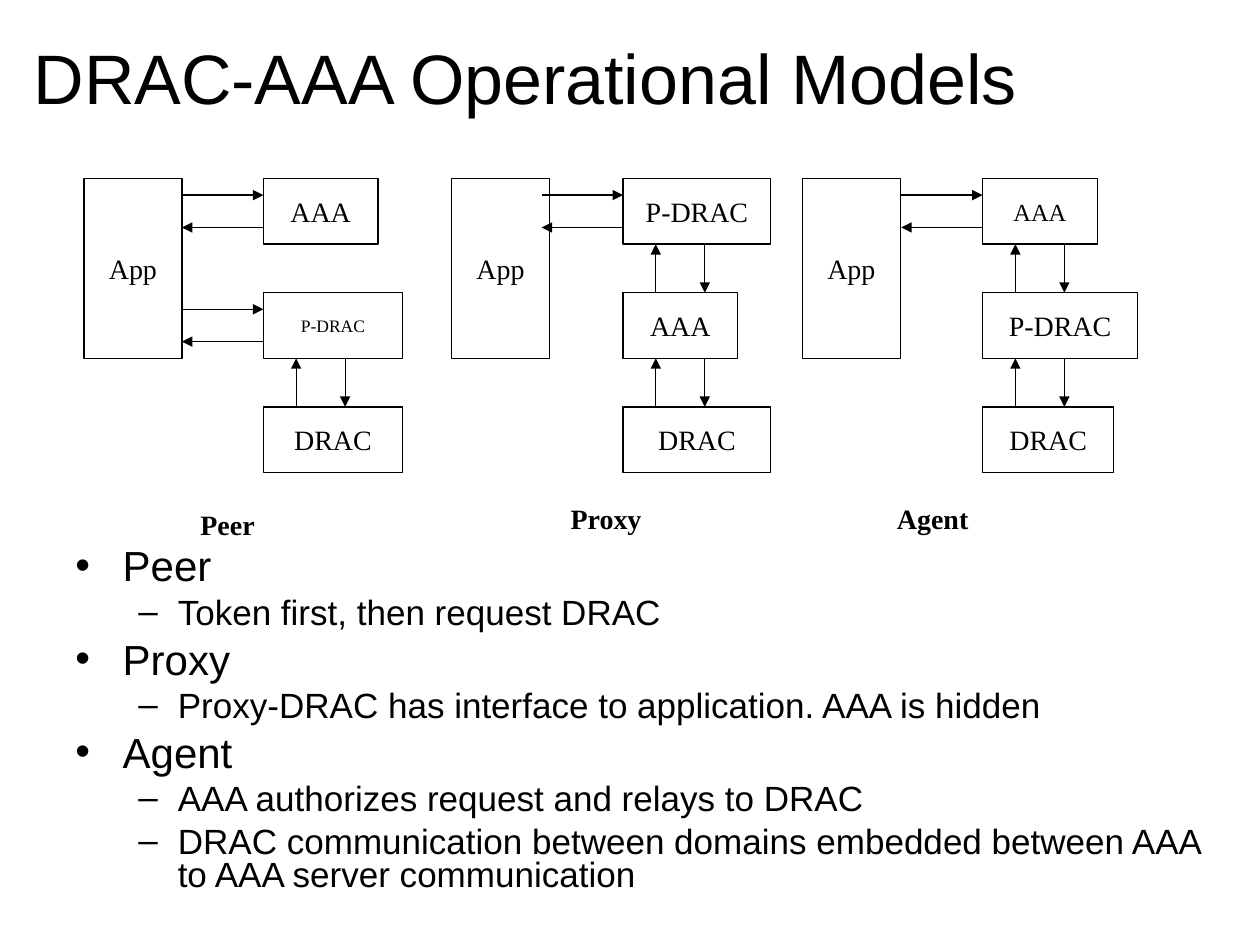
from lxml import etree
from pptx import Presentation
from pptx.dml.color import RGBColor
from pptx.enum import shapes, text
from pptx.oxml.ns import qn
from pptx.util import Pt

COLORS = {"ink": "000000", "paper": "FFFFFF"}
INK = RGBColor.from_string(COLORS["ink"])
SERIF, SANS = "Times New Roman", "Arial"

deck = Presentation()
deck.slide_width, deck.slide_height = Pt(720), Pt(540)
slide = deck.slides.add_slide(deck.slide_layouts[5])
slide.background.fill.solid()
slide.background.fill.fore_color.rgb = RGBColor.from_string(COLORS["paper"])


def write(frame, words, anchor, align, **font):
    """Put one formatted paragraph in a text frame."""
    frame.text = words
    frame.auto_size = text.MSO_AUTO_SIZE.NONE
    frame.vertical_anchor = anchor
    line = frame.paragraphs[0]
    line.alignment = align
    for key, value in font.items():
        setattr(line.runs[0].font, key, value)
    line.runs[0].font.color.rgb = INK


def arrow(x1, y1, x2, y2):
    """Draw a thin line with a triangle at its end."""
    link = slide.shapes.add_connector(
        shapes.MSO_CONNECTOR.STRAIGHT, Pt(x1), Pt(y1), Pt(x2), Pt(y2))
    link.line.color.rgb = INK
    link.line.width = Pt(0.75)
    etree.SubElement(link.line._get_or_add_ln(), qn("a:tailEnd"), type="triangle")
    etree.SubElement(link._element.spPr, qn("a:effectLst"))


# Title
title = slide.shapes.title
title.left, title.top, title.width, title.height = Pt(12), Pt(9.5), Pt(648), Pt(68)
write(title.text_frame, "DRAC-AAA Operational Models", text.MSO_ANCHOR.MIDDLE,
      text.PP_ALIGN.LEFT, name=SANS, size=Pt(40))

# Three models: App on the left, a stack of services on the right
ROW_TOP, ROW_PITCH, BOX_HEIGHT = 102, 65.25, 37.5
APP_WIDTH, ARROW_LENGTH = 56, 46.5
OUT_Y, BACK_Y, UP_X, DOWN_X = 9.5, 28, 18.75, 46.75
models = [
    # caption, caption (left, top, width), app left, stack left,
    # services (name, width, size), rows linked to App, rows linked to the next row
    ("Peer", (107.5, 286.5, 66), 48, 150.5,
     [("AAA", 65.5, 16), ("P-DRAC", 79.5, 10), ("DRAC", 79.5, 16)], [0, 1], [1]),
    ("Proxy", (319, 283, 62), 258, 356,
     [("P-DRAC", 84.5, 16), ("AAA", 65.5, 16), ("DRAC", 84.5, 16)], [0], [0, 1]),
    ("Agent", (505.5, 283, 75), 458.5, 561.5,
     [("AAA", 65.5, 14), ("P-DRAC", 88.5, 16), ("DRAC", 75, 16)], [0], [0, 1]),
]
for caption, (cap_x, cap_y, cap_w), app_x, stack_x, services, app_rows, stack_rows in models:
    boxes = [("App", app_x, ROW_TOP, APP_WIDTH, ROW_PITCH + BOX_HEIGHT, 16)]
    boxes += [(name, stack_x, ROW_TOP + row * ROW_PITCH, width, BOX_HEIGHT, size)
              for row, (name, width, size) in enumerate(services)]
    for name, x, y, width, height, size in boxes:
        box = slide.shapes.add_shape(
            shapes.MSO_SHAPE.RECTANGLE, Pt(x), Pt(y), Pt(width), Pt(height))
        box.shadow.inherit = False
        box.fill.background()
        box.line.color.rgb = INK
        box.line.width = Pt(0.75)
        write(box.text_frame, name, text.MSO_ANCHOR.MIDDLE, text.PP_ALIGN.CENTER,
              name=SERIF, size=Pt(size))

    # Requests and replies between App and the stack
    for row in app_rows:
        y = ROW_TOP + row * ROW_PITCH
        arrow(stack_x - ARROW_LENGTH, y + OUT_Y, stack_x, y + OUT_Y)
        arrow(stack_x, y + BACK_Y, stack_x - ARROW_LENGTH, y + BACK_Y)

    # Requests and replies inside the stack
    for row in stack_rows:
        upper = ROW_TOP + row * ROW_PITCH + BOX_HEIGHT
        lower = ROW_TOP + (row + 1) * ROW_PITCH
        arrow(stack_x + UP_X, lower, stack_x + UP_X, upper)
        arrow(stack_x + DOWN_X, upper, stack_x + DOWN_X, lower)

    label = slide.shapes.add_textbox(Pt(cap_x), Pt(cap_y), Pt(cap_w), Pt(30))
    label.text_frame.word_wrap = True
    write(label.text_frame, caption, text.MSO_ANCHOR.TOP, text.PP_ALIGN.LEFT,
          name=SERIF, size=Pt(16), bold=True)

# Explanation of the models
LEVELS = [
    {"bullet": "•", "margin": 27, "hang": 27, "size": 24, "before": 6},
    {"bullet": "–", "margin": 58.5, "hang": 22.5, "size": 20, "before": 5},
]
points = [
    (0, "Peer"),
    (1, "Token first, then request DRAC"),
    (0, "Proxy"),
    (1, "Proxy-DRAC has interface to application. AAA is hidden"),
    (0, "Agent"),
    (1, "AAA authorizes request and relays to DRAC"),
    (1, "DRAC communication between domains embedded between AAA to AAA server communication"),
]
notes = slide.shapes.add_textbox(Pt(36), Pt(310.5), Pt(666), Pt(218)).text_frame
notes.word_wrap = True
for index, (level, words) in enumerate(points):
    style = LEVELS[level]
    point = notes.add_paragraph() if index else notes.paragraphs[0]
    props = point._p.get_or_add_pPr()
    props.set("marL", str(Pt(style["margin"])))
    props.set("indent", str(-Pt(style["hang"])))
    etree.SubElement(props, qn("a:buFont"), typeface=SANS)
    etree.SubElement(props, qn("a:buChar"), char=style["bullet"])
    point.level = level
    point.line_spacing = 0.8
    point.space_before = Pt(style["before"] if index else 0)
    run = point.add_run()
    run.text = words
    for key, value in {"name": SANS, "size": Pt(style["size"])}.items():
        setattr(run.font, key, value)
    run.font.color.rgb = INK

deck.save("out.pptx")
